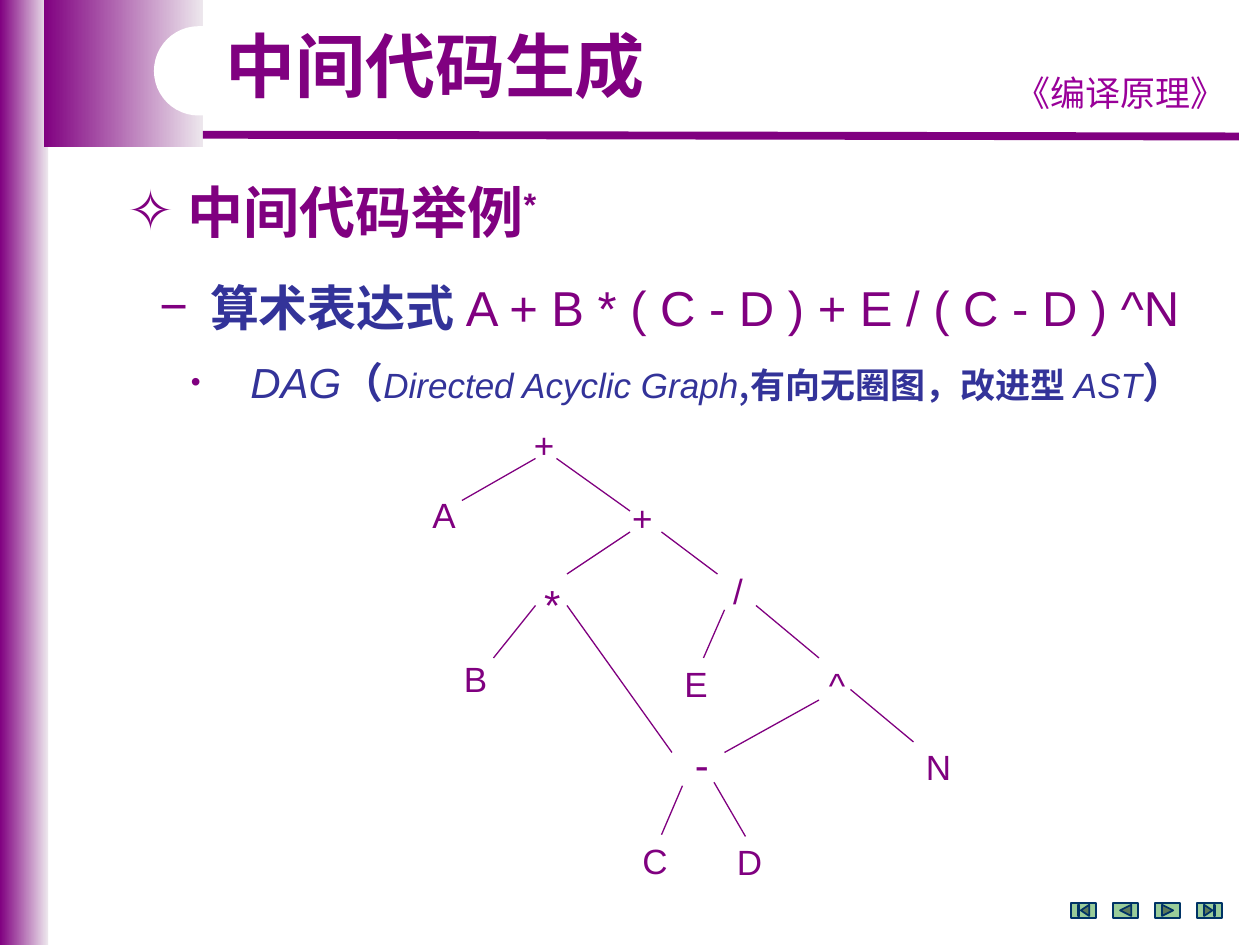
import lxml.etree
import pptx
import pptx.util
import pptx.dml.color
import pptx.enum.shapes
import pptx.enum.text
import pptx.oxml.ns

Pt = pptx.util.Pt
SHAPE = pptx.enum.shapes.MSO_SHAPE
PURPLE = "800080"
INDIGO = "333399"

NODES = [
    ("+", 298, 238.3, 32, 20),
    ("A", 240, 278.6, 30, 20),
    ("+", 354.2, 280.1, 30, 20),
    ("*", 303.8, 326.9, 27, 24),
    ("/", 411.8, 321.8, 27, 20),
    ("B", 258, 372.2, 30, 20),
    ("E", 384, 375.1, 30, 20),
    ("^", 466.6, 375.8, 37, 20),
    ("-", 390, 418.3, 30, 24),
    ("N", 522, 422.6, 30, 20),
    ("C", 360, 475.9, 30, 20),
    ("D", 414, 476.6, 37, 20),
]

EDGES = [
    (306, 262, 264, 286),
    (318, 262, 360, 292),
    (360, 304, 324, 328),
    (378, 304, 410, 328),
    (306, 346, 282, 376),
    (324, 346, 384, 430),
    (414, 348.5, 402, 376),
    (432, 346, 468, 376),
    (468, 400, 414, 430),
    (486, 394, 522, 424),
    (390, 449, 378, 477),
    (408, 447, 426, 478),
]


def color(value):
    return pptx.dml.color.RGBColor.from_string(value)


def add_element(parent, tag, **attributes):
    return lxml.etree.SubElement(parent, pptx.oxml.ns.qn(tag), **attributes)


def add_shape(page, kind, left, top, width, height, fill=None, line=None):
    shape = page.shapes.add_shape(kind, Pt(left), Pt(top), Pt(width), Pt(height))
    shape.shadow.inherit = False
    if fill:
        shape.fill.solid()
        shape.fill.fore_color.rgb = color(fill)
    if line:
        shape.line.color.rgb = color(line)
        shape.line.width = Pt(1)
    else:
        shape.line.fill.background()
    return shape


def add_gradient(page, left, top, width, height):
    shape = add_shape(page, SHAPE.RECTANGLE, left, top, width, height)
    shape.fill.gradient()
    shape.fill.gradient_angle = 0
    for stop, value in zip(shape.fill.gradient_stops, (PURPLE, "EDE7ED")):
        stop.color.rgb = color(value)


def add_line(page, start_x, start_y, end_x, end_y, width=0.75):
    line = page.shapes.add_connector(
        pptx.enum.shapes.MSO_CONNECTOR.STRAIGHT,
        Pt(start_x), Pt(start_y), Pt(end_x), Pt(end_y))
    line.line.color.rgb = color(PURPLE)
    line.line.width = Pt(width)
    add_element(line._element.spPr, "a:effectLst")


def add_box(page, left, top, width, height):
    box = page.shapes.add_textbox(Pt(left), Pt(top), Pt(width), Pt(height))
    box.text_frame.word_wrap = True
    return box.text_frame


def set_font(font, size, value, bold=None, italic=None, name="Arial"):
    font.name = name
    font.size = Pt(size)
    font.bold = bold
    font.italic = italic
    font.color.rgb = color(value)


def add_label(page, text, left, top, width, height, size, value=PURPLE, **style):
    para = add_box(page, left, top, width, height).paragraphs[0]
    para.text = text
    set_font(para.font, size, value, **style)
    return para


def set_bullet(para, symbol, margin, hanging, size):
    properties = para._p.get_or_add_pPr()
    properties.set("marL", str(Pt(margin)))
    properties.set("indent", str(-Pt(hanging)))
    tint = add_element(properties, "a:buClr")
    add_element(tint, "a:srgbClr", val=PURPLE)
    add_element(properties, "a:buSzPts", val=str(size * 100))
    add_element(properties, "a:buFont", typeface="Arial")
    add_element(properties, "a:buChar", char=symbol)


def add_spans(para, spans):
    for text, *style in spans:
        span = para.add_run()
        span.text = text
        set_font(span.font, *style)


def add_frame(page):
    add_gradient(page, 0, 0, 27.5, 540)
    add_gradient(page, 25, 0, 91, 84)
    add_line(page, 116, 77, 708, 78, 4.5)
    course = add_label(page, "《编译原理》", 569.5, 37.5, 142, 31, 20,
                       "990099", name="Comic Neue")
    course.alignment = pptx.enum.text.PP_ALIGN.CENTER
    notch = add_shape(page, SHAPE.ROUNDED_RECTANGLE, 88, 15, 260.5, 51, "FFFFFF")
    notch.adjustments[0] = 0.5
    title = add_label(page, "中间代码生成", 121.7, 15, 292, 50.5, 40, bold=True)
    title.line_spacing = 0.9


def add_outline(page):
    heading = add_box(page, 66, 98, 562, 45).paragraphs[0]
    set_bullet(heading, "✧", 34, 34, 32)
    add_spans(heading, [("中间代码举例", 32, PURPLE, True),
                        ("*", 32, PURPLE, True)])
    heading.runs[1].font._element.set("baseline", "30000")

    frame = add_box(page, 84, 155, 612, 115)
    expression = frame.paragraphs[0]
    set_bullet(expression, "−", 29, 29, 28)
    add_spans(expression, [
        ("算术表达式 ", 28, INDIGO, True),
        ("A + B * ( C - D ) + E / ( C - D ) ^N", 28, PURPLE, False),
    ])
    graph = frame.add_paragraph()
    graph.space_before = Pt(11.5)
    set_bullet(graph, "•", 36, 18, 28)
    add_spans(graph, [
        ("　", 16, INDIGO),
        ("DAG", 24, INDIGO, False, True),
        ("（", 24, INDIGO, True),
        ("Directed Acyclic Graph", 20, INDIGO, False, True),
        (",", 24, INDIGO, False, False, "Noto Sans CJK SC"),
        ("有向无圈图，改进型 ", 20, INDIGO, True),
        ("AST", 20, INDIGO, False, True),
        ("）", 24, INDIGO, True),
    ])


def add_graph(page):
    for text, left, top, width, size in NODES:
        add_label(page, text, left, top, width, size * 1.5, size)
    for edge in EDGES:
        add_line(page, *edge)


def add_navigation(page):
    kinds = (SHAPE.ACTION_BUTTON_BEGINNING, SHAPE.ACTION_BUTTON_BACK_OR_PREVIOUS,
             SHAPE.ACTION_BUTTON_FORWARD_OR_NEXT, SHAPE.ACTION_BUTTON_END)
    for index, kind in enumerate(kinds):
        add_shape(page, kind, 612 + 24 * index, 516, 14.5, 8.5, "99CC99", "003366")


def main():
    deck = pptx.Presentation()
    deck.slide_width, deck.slide_height = Pt(720), Pt(540)
    page = deck.slides.add_slide(deck.slide_layouts[6])
    add_frame(page)
    add_outline(page)
    add_navigation(page)
    add_graph(page)
    deck.save("out.pptx")


if __name__ == "__main__":
    main()
